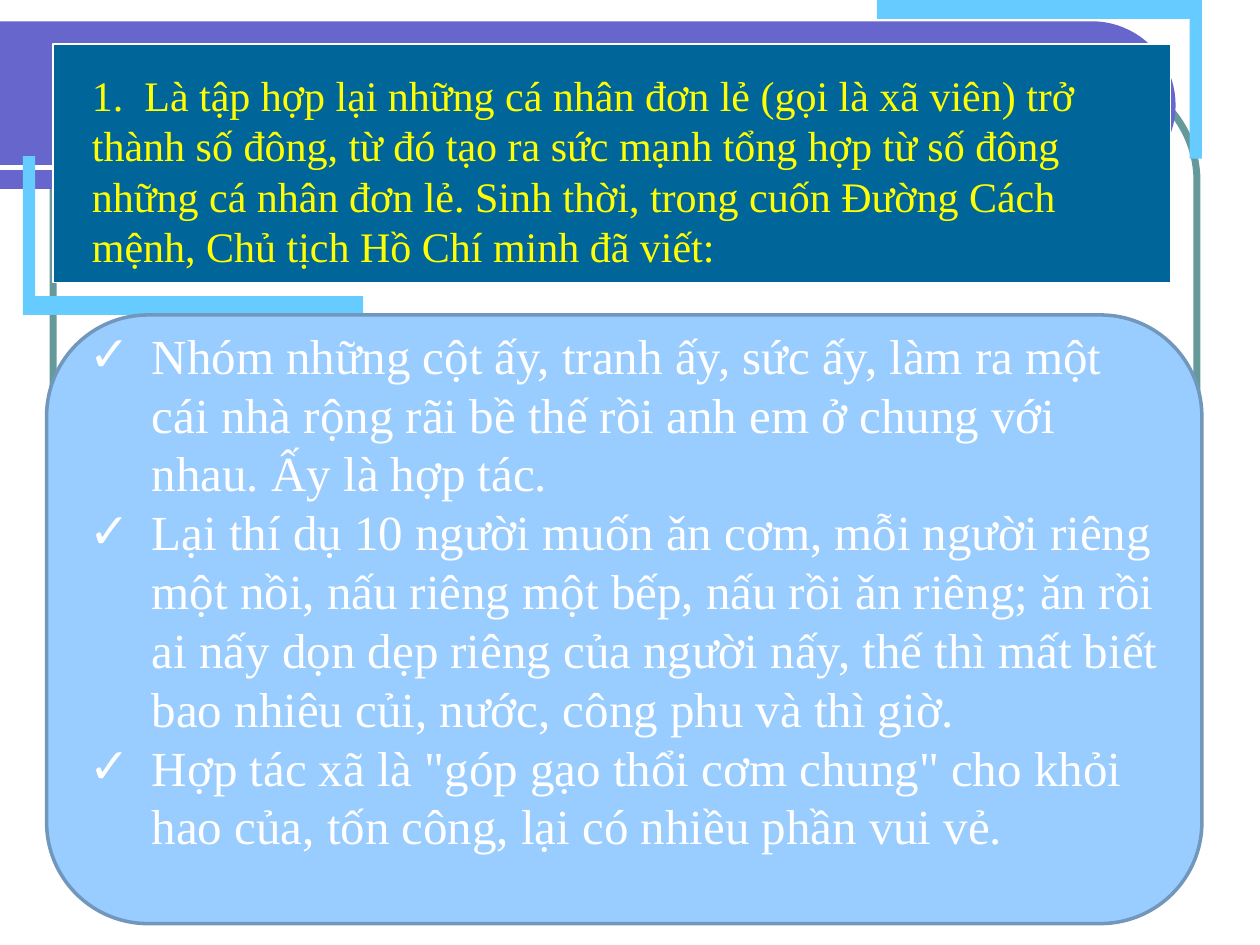
from math import cos, pi, sin

from lxml import etree
from pptx import Presentation
from pptx.dml.color import RGBColor
from pptx.enum.shapes import MSO_CONNECTOR, MSO_SHAPE
from pptx.enum.text import MSO_ANCHOR, MSO_AUTO_SIZE, PP_ALIGN
from pptx.oxml.ns import qn
from pptx.util import Cm, Pt

RECT = MSO_SHAPE.RECTANGLE
ROUND = MSO_SHAPE.ROUNDED_RECTANGLE
STRAIGHT = MSO_CONNECTOR.STRAIGHT
TOP = MSO_ANCHOR.TOP
MIDDLE = MSO_ANCHOR.MIDDLE
LEFT = PP_ALIGN.LEFT
FIXED = MSO_AUTO_SIZE.NONE

FONT = "Times New Roman"
TITLE = (
    "1.  Là tập hợp lại những cá nhân đơn lẻ (gọi là xã viên) trở thành số đông, "
    "từ đó tạo ra sức mạnh tổng hợp từ số đông những cá nhân đơn lẻ. Sinh thời, "
    "trong cuốn Đường Cách mệnh, Chủ tịch Hồ Chí minh đã viết:"
)
QUOTES = [
    "Nhóm những cột ấy, tranh ấy, sức ấy, làm ra một cái nhà rộng rãi bề thế "
    "rồi anh em ở chung với nhau. Ấy là hợp tác.",
    "Lại thí dụ 10 người muốn ǎn cơm, mỗi người riêng một nồi, nấu riêng một bếp, "
    "nấu rồi ǎn riêng; ǎn rồi ai nấy dọn dẹp riêng của người nấy, thế thì mất biết "
    "bao nhiêu củi, nước, công phu và thì giờ.",
    'Hợp tác xã là "góp gạo thổi cơm chung" cho khỏi hao của, tốn công, '
    "lại có nhiều phần vui vẻ.",
]


def color(code):
    return RGBColor.from_string(code)


def paint(shape, fill=None, line=None, width=1):
    if fill:
        shape.fill.solid()
        shape.fill.fore_color.rgb = color(fill)
    else:
        shape.fill.background()
    if line:
        shape.line.color.rgb = color(line)
        shape.line.width = Pt(width)
    else:
        shape.line.fill.background()


def add_box(slide, kind, box, **look):
    shape = slide.shapes.add_shape(kind, *map(Cm, box))
    shape.shadow.inherit = False
    paint(shape, **look)
    return shape


def add_outline(slide, points, fill):
    start, *rest = [(Cm(x), Cm(y)) for x, y in points]
    pen = slide.shapes.build_freeform(*start)
    pen.add_line_segments(rest, close=True)
    shape = pen.convert_to_shape()
    shape.shadow.inherit = False
    paint(shape, fill)


def add_band(slide, box):
    """Bar with a half-round right end and a white stripe."""
    x, y, w, h = box
    r = h / 2
    turns = [pi * (i / 40 - 0.5) for i in range(41)]
    arc = [(x + w - r + r * cos(t), y + r + r * sin(t)) for t in turns]
    add_outline(slide, [(x, y), *arc, (x, y + h)], "6666CC")
    level = Cm(y + h - 0.43)
    stripe = slide.shapes.add_connector(
        STRAIGHT, Cm(x), level, Cm(x + w - 1.27), level)
    stripe.line.color.rgb = color("FFFFFF")
    stripe.line.width = Pt(3)
    etree.SubElement(stripe._element.spPr, qn("a:effectLst"))


def add_corner(slide, box, turned=False):
    """L-shaped bracket at the lower left, or at the upper right if turned."""
    x, y, w, h = box
    side, base = 0.25, 0.38
    points = [(0, 0), (side, 0), (side, h - base), (w, h - base), (w, h), (0, h)]
    if turned:
        points = [(w - a, h - b) for a, b in points]
    add_outline(slide, [(x + a, y + b) for a, b in points], "66CCFF")


def set_text(slide, holder, box, lines, size, code, anchor):
    """Move a placeholder to the front and fill it with text."""
    slide.shapes._spTree.append(holder._element)
    holder.left, holder.top, holder.width, holder.height = map(Cm, box)
    frame = holder.text_frame
    frame.text = "\n".join(lines)
    frame.word_wrap = True
    frame.auto_size = FIXED
    frame.vertical_anchor = anchor
    for para in frame.paragraphs:
        para.alignment = LEFT
        para.space_before = Pt(0)
        for run in para.runs:
            run.font.name = FONT
            run.font.size = Pt(size)
            run.font.color.rgb = color(code)


def add_title(slide, box):
    x, y, w, h = box
    add_box(slide, RECT, box, fill="006699", line="FFFFFF", width=0.75)
    inner = (x + 0.53, y + 0.38, w - 0.94, h - 0.48)
    set_text(slide, slide.shapes.title, inner, [TITLE], 24, "FFFF00", TOP)


def add_list(slide, box):
    holder = slide.placeholders[1]
    set_text(slide, holder, box, QUOTES, 28, "FFFFFF", MIDDLE)
    shape = etree.SubElement(holder._element.spPr, qn("a:prstGeom"), prst="roundRect")
    etree.SubElement(shape, qn("a:avLst"))
    paint(holder, "99CCFF", "7197BD", 2)
    holder.text_frame.margin_bottom = Cm(1.31)
    for para in holder.text_frame.paragraphs:
        props = para._p.get_or_add_pPr()
        props.set("marL", str(Cm(1.27)))
        props.set("indent", str(-Cm(1.27)))
        etree.SubElement(props, qn("a:buChar"), char="✓")


def main():
    deck = Presentation()
    deck.slide_width, deck.slide_height = Cm(25.4), Cm(19.05)
    slide = deck.slides.add_slide(deck.slide_layouts[1])
    border = add_box(slide, ROUND, (1.07, 1.47, 23.06, 15.88), line="669999", width=4)
    border.adjustments[0] = 0.137
    add_band(slide, (0, 0.43, 23.7, 3.38))
    add_corner(slide, (0.46, 3.15, 6.86, 3.2))
    add_corner(slide, (17.68, 0, 6.55, 3.2), turned=True)
    add_title(slide, (1.07, 0.89, 22.53, 4.8))
    add_list(slide, (0.94, 6.35, 23.29, 12.27))
    deck.save("out.pptx")


if __name__ == "__main__":
    main()
